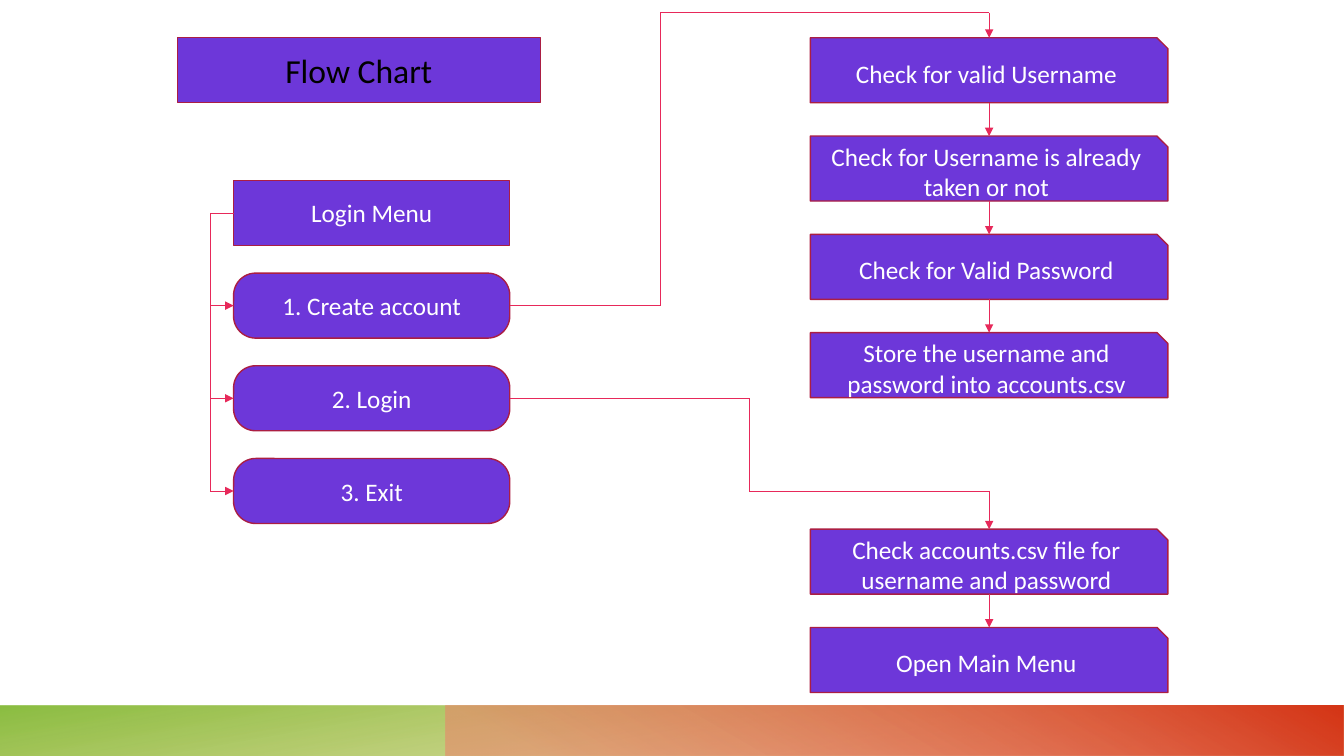
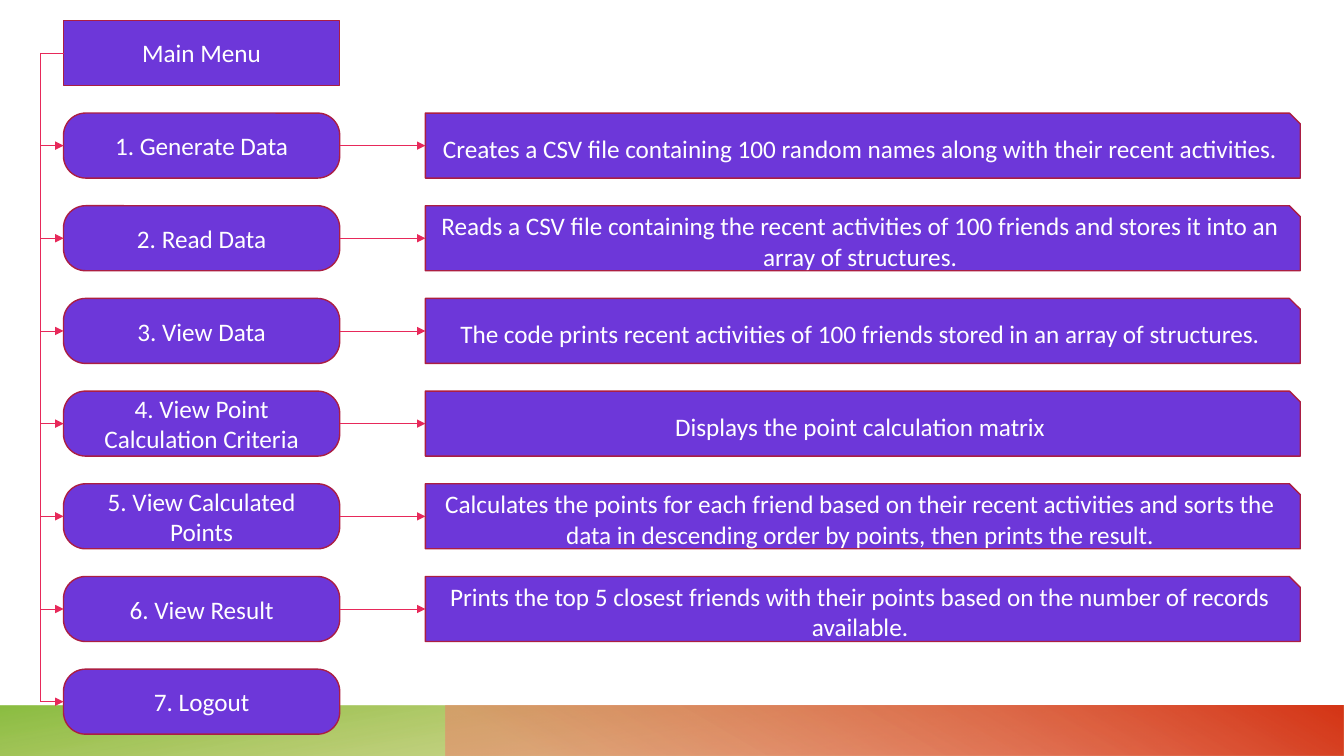
from itertools import pairwise

from lxml.etree import SubElement
from pptx import Presentation
from pptx.dml.color import RGBColor
from pptx.enum.shapes import MSO_CONNECTOR as Connector, MSO_SHAPE as Shape
from pptx.enum.text import MSO_ANCHOR as Anchor, PP_ALIGN as Align
from pptx.oxml.ns import qn
from pptx.util import Inches, Pt

COLORS = {
    "box": "6D37D9", "border": "AB1E43", "arrow": "E7295A",
    "text": "FFFFFF", "title": "000000",
    "olive": "A9A812", "green": "76B220", "coral": "EF806B", "red": "D53617",
}
FONT = "Calibri"
BOX_HEIGHT = 8.6
MENU_WIDTH = 20.55
MENU_PITCH = 12.26
SPINE_GAP = 1.73
STEP_TOP, STEP_PITCH = 5, 13
STEP_LEFT, STEP_WIDTH = 60.3, 26.6
DETAIL_LEFT, DETAIL_WIDTH = 31.65, 65.1
BAND_TOP = 93.3
BAND_SPLIT = 33.12

ACCOUNT_STEPS = {
    0: "Check for valid Username",
    1: "Check for Username is already taken or not",
    2: "Check for Valid Password",
    3: "Store the username and password into accounts.csv",
}
LOGIN_STEPS = {
    5: "Check accounts.csv file for username and password",
    6: "Open Main Menu",
}
LOGIN_OPTIONS = ["1. Create account", "2. Login", "3. Exit"]
MAIN_OPTIONS = [
    ("1. Generate Data",
     "Creates a CSV file containing 100 random names along with their recent activities."),
    ("2. Read Data",
     "Reads a CSV file containing the recent activities of 100 friends and stores it "
     "into an array of structures."),
    ("3. View Data",
     "The code prints recent activities of 100 friends stored in an array of structures."),
    ("4. View Point Calculation Criteria",
     "Displays the point calculation matrix"),
    ("5. View Calculated Points",
     "Calculates the points for each friend based on their recent activities and sorts "
     "the data in descending order by points, then prints the result."),
    ("6. View Result",
     "Prints the top 5 closest friends with their points based on the number of records "
     "available."),
    ("7. Logout", None),
]


def rgb(name):
    return RGBColor.from_string(COLORS[name])


class FlowDeck:
    """Draws flow-chart slides, with lengths in percent of the slide's size."""

    def __init__(self):
        self.prs = Presentation()
        self.prs.slide_width = Inches(13.33)
        self.prs.slide_height = Inches(7.5)
        self.slide = None

    def x(self, percent):
        return round(self.prs.slide_width * percent / 100)

    def y(self, percent):
        return round(self.prs.slide_height * percent / 100)

    def new_slide(self):
        self.slide = self.prs.slides.add_slide(self.prs.slide_layouts[6])
        green = self.band(0, 100, 100, [(14, "olive", 28), (100, "green", 85)])
        green.rotation = 180
        self.band(BAND_SPLIT, 100 - BAND_SPLIT, 240, [(9, "coral", 55), (99, "red", 100)])

    def shape(self, kind, left, top, width, height):
        shape = self.slide.shapes.add_shape(
            kind, self.x(left), self.y(top), self.x(width), self.y(height))
        shape.shadow.inherit = False
        return shape

    def band(self, left, width, angle, stops):
        band = self.shape(Shape.RECTANGLE, left, BAND_TOP, width, 100 - BAND_TOP)
        band.line.fill.background()
        band.fill.gradient()
        band.fill.gradient_angle = 360 - angle
        for stop, (position, color, opacity) in zip(band.fill.gradient_stops, stops):
            stop.position = position / 100
            stop.color.rgb = rgb(color)
        gradient = band.element.spPr.find(qn("a:gradFill"))
        for tint, (_, _, opacity) in zip(gradient.iter(qn("a:srgbClr")), stops):
            SubElement(tint, qn("a:alpha")).set("val", str(opacity * 1000))
        band.element.spPr.find(qn("a:xfrm")).set("flipH", "1")
        return band

    def box(self, kind, text, left, top, width, size=18, color="text"):
        box = self.shape(kind, left, top, width, BOX_HEIGHT)
        box.fill.solid()
        box.fill.fore_color.rgb = rgb("box")
        box.line.color.rgb = rgb("border")
        box.line.width = Pt(1)
        if kind == Shape.ROUNDED_RECTANGLE:
            box.adjustments[0] = 0.34
        frame = box.text_frame
        frame.word_wrap = True
        frame.vertical_anchor = Anchor.MIDDLE
        paragraph = frame.paragraphs[0]
        paragraph.text = text
        paragraph.alignment = Align.CENTER
        paragraph.font.name = FONT
        paragraph.font.size = Pt(size)
        paragraph.font.color.rgb = rgb(color)

    def route(self, *points, arrow=True):
        for (x1, y1), (x2, y2) in pairwise(points):
            leg = self.slide.shapes.add_connector(
                Connector.STRAIGHT, self.x(x1), self.y(y1), self.x(x2), self.y(y2))
            leg.line.color.rgb = rgb("arrow")
            leg.line.width = Pt(0.5)
            SubElement(leg.element.spPr, qn("a:effectLst"))
        if arrow:
            SubElement(leg.line._get_or_add_ln(), qn("a:tailEnd")).set("type", "triangle")

    def menu(self, heading, options, left, top):
        self.box(Shape.RECTANGLE, heading, left, top, MENU_WIDTH)
        spine = left - SPINE_GAP
        first = top + BOX_HEIGHT / 2
        centers = [first + MENU_PITCH * row for row in range(1, len(options) + 1)]
        self.route((left, first), (spine, first), (spine, centers[-1]), arrow=False)
        for option, center in zip(options, centers):
            self.box(Shape.ROUNDED_RECTANGLE, option, left, center - BOX_HEIGHT / 2, MENU_WIDTH)
            self.route((spine, center), (left, center))
        return [(left + MENU_WIDTH, center) for center in centers]

    def steps(self, texts):
        middle = STEP_LEFT + STEP_WIDTH / 2
        tops = [STEP_TOP + STEP_PITCH * row for row in texts]
        for text, top in zip(texts.values(), tops):
            self.box(Shape.SNIP_1_RECTANGLE, text, STEP_LEFT, top, STEP_WIDTH)
        for top, below in pairwise(tops):
            self.route((middle, top + BOX_HEIGHT), (middle, below))
        return middle, tops[0]


def login_slide(deck):
    deck.new_slide()
    deck.box(Shape.RECTANGLE, "Flow Chart", 13.2, STEP_TOP, 27, size=24, color="title")
    create, login, _ = deck.menu("Login Menu", LOGIN_OPTIONS, 17.38, 23.87)
    account = deck.steps(ACCOUNT_STEPS)
    check = deck.steps(LOGIN_STEPS)

    bend, over = 49.13, 1.7
    deck.route(create, (bend, create[1]), (bend, over), (account[0], over), account)
    bend, under = (login[0] + check[0]) / 2, login[1] + MENU_PITCH
    deck.route(login, (bend, login[1]), (bend, under), (check[0], under), check)


def main_menu_slide(deck):
    deck.new_slide()
    options = [option for option, _ in MAIN_OPTIONS]
    exits = deck.menu("Main Menu", options, 4.73, 2.7)
    for (right, center), (_, detail) in zip(exits, MAIN_OPTIONS):
        if detail:
            deck.box(Shape.SNIP_1_RECTANGLE, detail,
                     DETAIL_LEFT, center - BOX_HEIGHT / 2, DETAIL_WIDTH)
            deck.route((right, center), (DETAIL_LEFT, center))


def main():
    deck = FlowDeck()
    login_slide(deck)
    main_menu_slide(deck)
    deck.prs.save("out.pptx")


if __name__ == "__main__":
    main()
